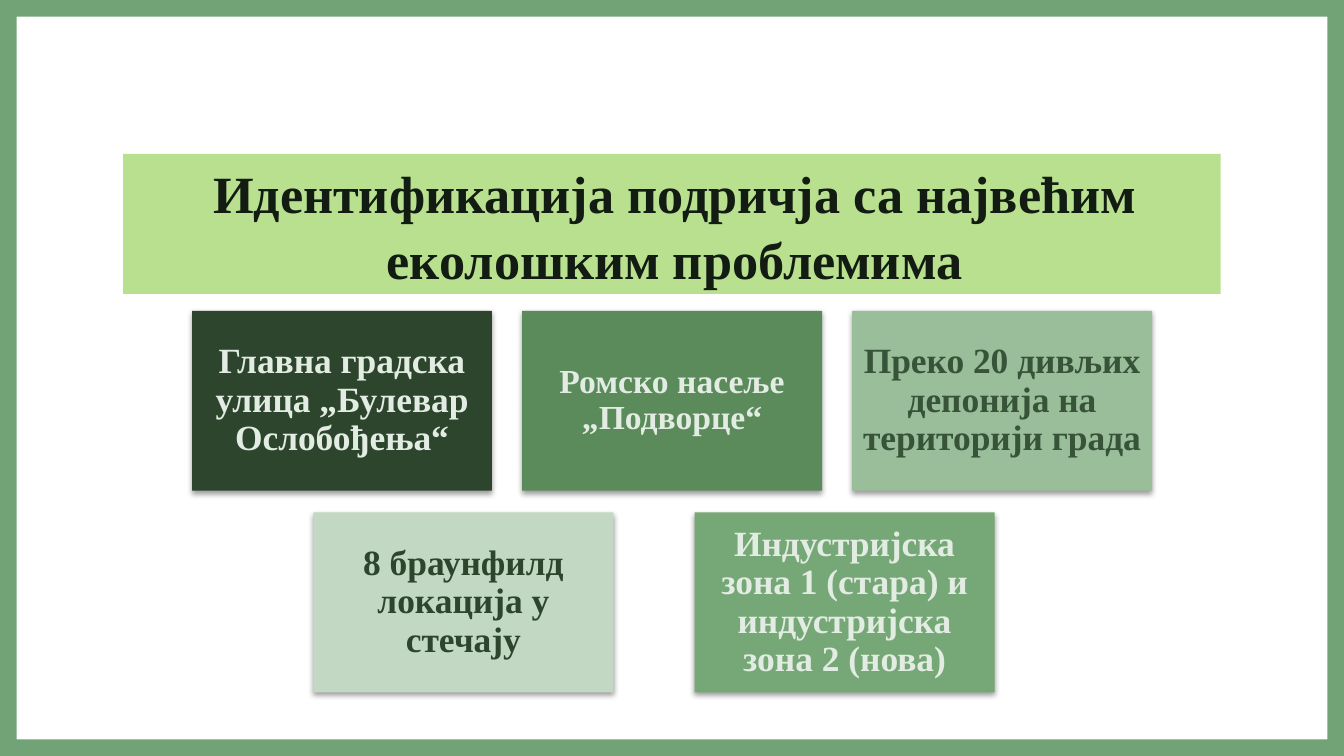
import pptx
import pptx.util
import pptx.oxml
import pptx.oxml.ns
import pptx.dml.color
import pptx.enum.shapes
import pptx.enum.text
from dataclasses import dataclass

Pt = pptx.util.Pt
RGB = pptx.dml.color.RGBColor.from_string
SHAPE = pptx.enum.shapes.MSO_SHAPE
ALIGN = pptx.enum.text.PP_ALIGN
ANCHOR = pptx.enum.text.MSO_ANCHOR
SIZE = pptx.enum.text.MSO_AUTO_SIZE
NS = pptx.oxml.ns.nsdecls("a")


@dataclass(frozen=True)
class Theme:
    font: str = "Times New Roman"
    border: str = "72A376"
    banner: str = "92D050"
    ink: str = "121C12"
    pale: str = "E2ECE3"
    deep: str = "2D452D"
    moss: str = "375439"
    leaf: str = "5B8A5B"
    sage: str = "9ABD9A"
    mist: str = "C3D8C3"
    fern: str = "76A776"
    head: int = 28
    body: int = 19
    small: int = 18


def apply(target, values):
    for name, value in values.items():
        setattr(target, name, value)


class Deck:
    def __init__(self, theme, width, height):
        self.theme = theme
        self.width, self.height = width, height
        self.file = pptx.Presentation()
        apply(self.file, {"slide_width": Pt(width), "slide_height": Pt(height)})
        self.slide = self.file.slides.add_slide(self.file.slide_layouts[5])

    def paint(self, shape, color):
        shape.fill.solid()
        shape.fill.fore_color.rgb = RGB(color)
        shape.line.fill.background()

    def label(self, shape, text, size, color, pads, space):
        """Fill a shape with one centred bold paragraph; pads are left, top, right, bottom."""
        frame = shape.text_frame
        sides = ("margin_left", "margin_top", "margin_right", "margin_bottom")
        apply(frame, dict(zip(sides, map(Pt, pads))))
        apply(frame, {"text": text, "word_wrap": True, "auto_size": SIZE.NONE,
                      "vertical_anchor": ANCHOR.MIDDLE})
        line = frame.paragraphs[0]
        apply(line, {"alignment": ALIGN.CENTER, "line_spacing": space,
                     "space_before": Pt(0)})
        apply(line.font, {"name": self.theme.font, "size": Pt(size), "bold": True})
        line.font.color.rgb = RGB(color)

    def shape(self, kind, left, top, width, height, color):
        shape = self.slide.shapes.add_shape(
            kind, Pt(left), Pt(top), Pt(width), Pt(height))
        shape.shadow.inherit = False
        self.paint(shape, color)
        return shape

    def border(self):
        shape = self.shape(SHAPE.FRAME, 0, 0, self.width, self.height,
                           self.theme.border)
        shape.adjustments[0] = 0.022

    def title(self, text, left, top, width, height):
        title = self.slide.shapes.title
        apply(title, {"left": Pt(left), "top": Pt(top),
                      "width": Pt(width), "height": Pt(height)})
        self.paint(title, self.theme.banner)
        color = title.element.spPr.xpath("./a:solidFill/a:srgbClr")[0]
        color.append(pptx.oxml.parse_xml(f'<a:alpha {NS} val="64000"/>'))
        self.label(title, text, self.theme.head, self.theme.ink,
                   (10, 3.6, 7.2, 3.6), 1.05)

    def card(self, text, left, top, width, height, fill, color, size):
        card = self.shape(SHAPE.RECTANGLE, left, top, width, height, fill)
        effects = card.element.spPr.xpath("./a:effectLst")[0]
        effects.append(pptx.oxml.parse_xml(
            f'<a:outerShdw {NS} blurRad="{Pt(3.1)}" dist="{Pt(1.6)}" dir="5400000" '
            'rotWithShape="0"><a:srgbClr val="000000"><a:alpha val="38000"/>'
            '</a:srgbClr></a:outerShdw>'))
        self.label(card, text, size, color, (5.4,) * 4, 0.9)

    def row(self, cards, left, top, step):
        for index, (text, fill, color, size) in enumerate(cards):
            self.card(text, left + index * step, top, 160.7, 96.4,
                      fill, color, size)


def main():
    theme = Theme()
    deck = Deck(theme, 720, 405)
    deck.border()
    deck.title("Идентификација подричја са највећим еколошким проблемима",
               66, 82.5, 588, 75)
    deck.row([
        ("Главна градска улица „Булевар Ослобођења“", theme.deep, theme.pale, theme.body),
        ("Ромско насеље „Подворце“", theme.leaf, theme.pale, theme.small),
        ("Преко 20 дивљих депонија на територији града", theme.sage, theme.moss, theme.body),
    ], 102.9, 166.5, 176.8)
    deck.row([
        ("8 браунфилд локација у стечају", theme.mist, theme.deep, theme.body),
        ("Индустријска зона 1 (стара) и индустријска зона 2 (нова)",
         theme.fern, theme.pale, theme.body),
    ], 167.9, 274.5, 204.2)
    deck.file.save("out.pptx")


if __name__ == "__main__":
    main()
